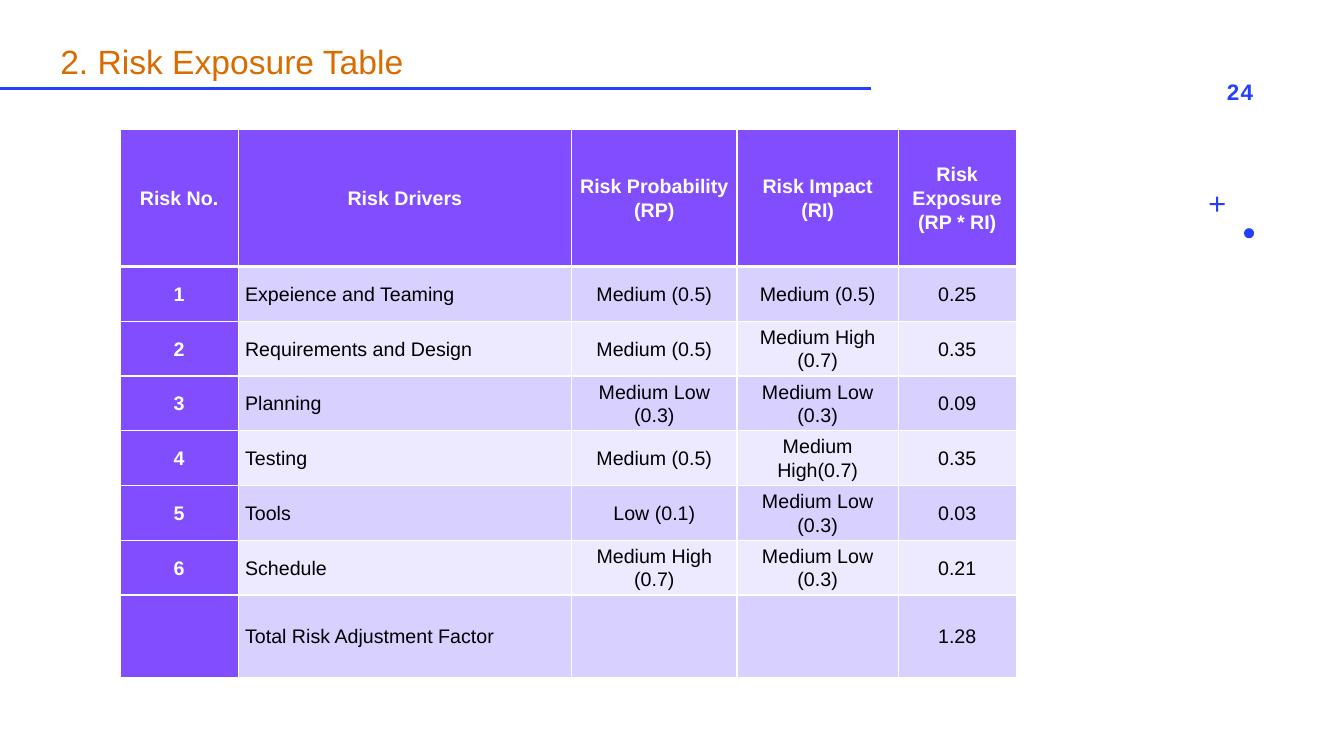
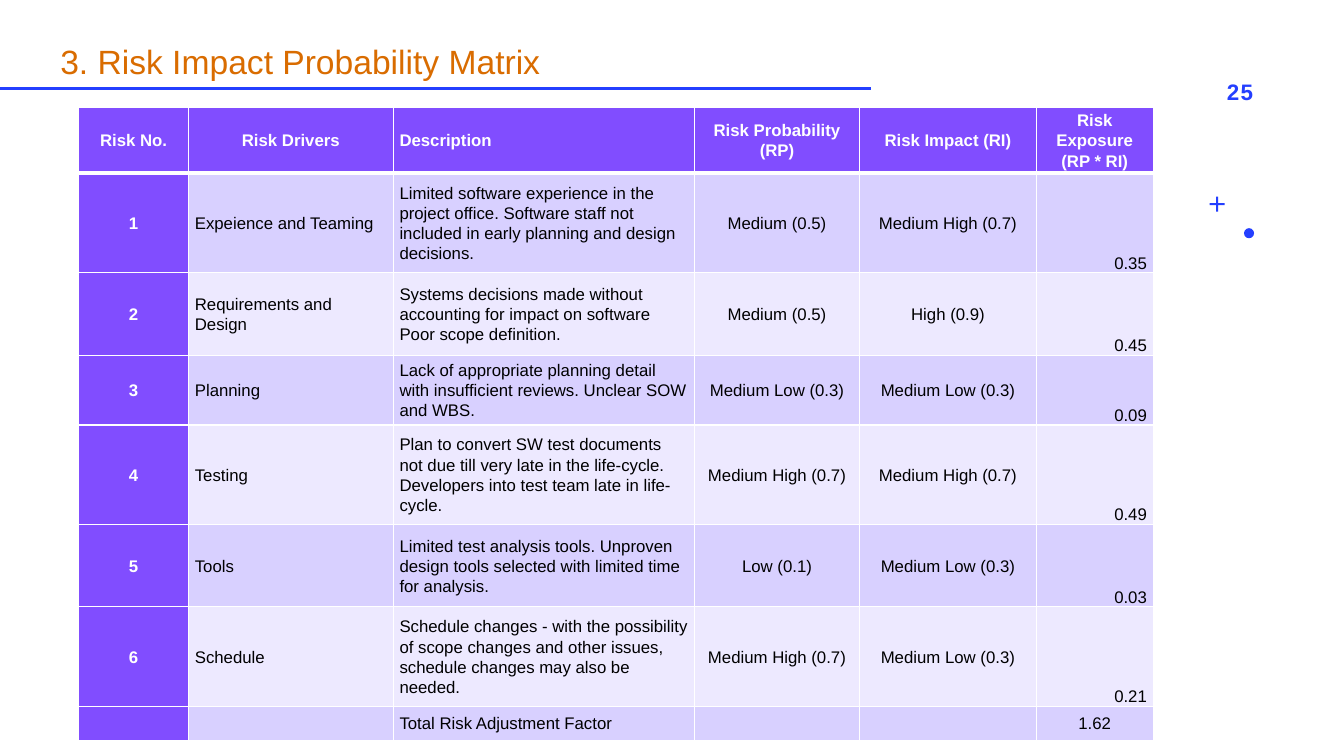
"""Build the two risk slides: an exposure table and an impact probability matrix."""
import lxml.etree
import pptx
import pptx.dml.color
import pptx.enum.shapes
import pptx.enum.text
import pptx.oxml.ns
import pptx.util

Pt = pptx.util.Pt
RGBColor = pptx.dml.color.RGBColor
qn = pptx.oxml.ns.qn
ALIGN = pptx.enum.text.PP_ALIGN
ANCHOR = pptx.enum.text.MSO_ANCHOR
SHAPE = pptx.enum.shapes.MSO_SHAPE

BLUE = RGBColor(0x24, 0x3F, 0xFF)
ORANGE = RGBColor(0xD9, 0x6C, 0x00)
PURPLE = RGBColor(0x81, 0x4D, 0xFF)
LILAC = RGBColor(0xD8, 0xD0, 0xFF)
PALE = RGBColor(0xED, 0xE9, 0xFF)
WHITE = RGBColor(0xFF, 0xFF, 0xFF)
BLACK = RGBColor(0x00, 0x00, 0x00)
FONT = "Arial"
ALIGNS = {"l": ALIGN.LEFT, "c": ALIGN.CENTER, "r": ALIGN.RIGHT}

SLIDES = [
    {
        "title": "2. Risk Exposure Table",
        "number": "24",
        "left": 85.9, "top": 92.4, "size": 14, "inset": 5,
        "cols": [84.2, 238.3, 118.1, 115.2, 84.2],
        "heights": [98] + [39.1] * 6 + [58.8],
        "aligns": "clccc",
        "rows": [
            ["Risk No.", "Risk Drivers", "Risk Probability (RP)", "Risk Impact (RI)",
             "Risk Exposure (RP * RI)"],
            ["1", "Expeience and Teaming", "Medium (0.5)", "Medium (0.5)", "0.25"],
            ["2", "Requirements and Design", "Medium (0.5)", "Medium High (0.7)", "0.35"],
            ["3", "Planning", "Medium Low (0.3)", "Medium Low (0.3)", "0.09"],
            ["4", "Testing", "Medium (0.5)", "Medium High(0.7)", "0.35"],
            ["5", "Tools", "Low (0.1)", "Medium Low (0.3)", "0.03"],
            ["6", "Schedule", "Medium High (0.7)", "Medium Low (0.3)", "0.21"],
            ["", "Total Risk Adjustment Factor", "", "", "1.28"],
        ],
    },
    {
        "title": "3. Risk Impact Probability Matrix",
        "number": "25",
        "left": 56.2, "top": 76.8, "size": 12, "inset": 4.5,
        "cols": [78.5, 146.2, 215.2, 118, 126.2, 83.5],
        "heights": [47, 71, 59, 49.8, 71, 59, 71, 24.5],
        "aligns": "cllccr",
        "rows": [
            ["Risk No.", "Risk Drivers", "Description", "Risk Probability (RP)",
             "Risk Impact (RI)", "Risk Exposure (RP * RI)"],
            ["1", "Expeience and Teaming",
             "Limited software experience in the project office. Software staff not "
             "included in early planning and design decisions.",
             "Medium (0.5)", "Medium High (0.7)", "0.35"],
            ["2", "Requirements and Design",
             "Systems decisions made without accounting for impact on software "
             "Poor scope definition.",
             "Medium (0.5)", "High (0.9)", "0.45"],
            ["3", "Planning",
             "Lack of appropriate planning detail with insufficient reviews. "
             "Unclear SOW and WBS.",
             "Medium Low (0.3)", "Medium Low (0.3)", "0.09"],
            ["4", "Testing",
             "Plan to convert SW test documents not due till very late in the life-cycle. "
             "Developers into test team late in life-cycle.",
             "Medium High (0.7)", "Medium High (0.7)", "0.49"],
            ["5", "Tools",
             "Limited test analysis tools. Unproven design tools selected with limited "
             "time for analysis.",
             "Low (0.1)", "Medium Low (0.3)", "0.03"],
            ["6", "Schedule",
             "Schedule changes - with the possibility of scope changes and other issues, "
             "schedule changes may also be needed.",
             "Medium High (0.7)", "Medium Low (0.3)", "0.21"],
            ["", "", "Total Risk Adjustment Factor", "", "", "1.62"],
        ],
    },
]


def write(tf, text, size, color, bold=False, align="l", spacing=1.0, tracking=0):
    """Fill the first paragraph of a text frame with one formatted run."""
    tf.word_wrap = True
    p = tf.paragraphs[0]
    p.alignment = ALIGNS[align]
    p.line_spacing = spacing
    r = p.add_run()
    r.text = text
    r.font.name = FONT
    r.font.size = Pt(size)
    r.font.bold = bold
    r.font.color.rgb = color
    if tracking:
        r.font._element.set("spc", str(tracking * 100))


def set_border(cell, side, width):
    """Draw one white edge of a table cell."""
    tcPr = cell._tc.get_or_add_tcPr()
    ln = lxml.etree.SubElement(tcPr, qn("a:ln" + side), w=str(Pt(width)))
    fill = lxml.etree.SubElement(ln, qn("a:solidFill"))
    lxml.etree.SubElement(fill, qn("a:srgbClr"), val=str(WHITE))


prs = pptx.Presentation()
prs.slide_width = Pt(960)
prs.slide_height = Pt(540)

for data in SLIDES:
    slide = prs.slides.add_slide(prs.slide_layouts[6])

    rule = slide.shapes.add_connector(
        pptx.enum.shapes.MSO_CONNECTOR.STRAIGHT, Pt(0), Pt(63.2), Pt(622.4), Pt(63.2))
    rule.line.color.rgb = BLUE
    rule.line.width = Pt(2)
    lxml.etree.SubElement(rule._element.spPr, qn("a:effectLst"))

    for kind, left, top, side in [(SHAPE.OVAL, 888.6, 163, 7.2), (SHAPE.CROSS, 864, 140.4, 10.8)]:
        sp = slide.shapes.add_shape(kind, Pt(left), Pt(top), Pt(side), Pt(side))
        sp.shadow.inherit = False
        sp.fill.solid()
        sp.fill.fore_color.rgb = BLUE
        sp.line.fill.background()
        if kind == SHAPE.CROSS:
            sp.adjustments[0] = 0.43

    title = slide.shapes.add_textbox(Pt(36), Pt(13), Pt(487.4), Pt(49))
    title.text_frame.vertical_anchor = ANCHOR.BOTTOM
    write(title.text_frame, data["title"], size=24, color=ORANGE, spacing=0.9)

    number = slide.shapes.add_textbox(Pt(686.2), Pt(49), Pt(216), Pt(32.4))
    number.text_frame.vertical_anchor = ANCHOR.MIDDLE
    write(number.text_frame, data["number"], size=16, color=BLUE, bold=True, align="r", tracking=1)

    rows, cols, heights = data["rows"], data["cols"], data["heights"]
    last = len(rows) - 1
    table = slide.shapes.add_table(
        len(rows), len(cols), Pt(data["left"]), Pt(data["top"]),
        Pt(sum(cols)), Pt(sum(heights))).table
    for col, width in zip(table.columns, cols):
        col.width = Pt(width)
    for row, height in zip(table.rows, heights):
        row.height = Pt(height)

    for i, texts in enumerate(rows):
        for j, text in enumerate(texts):
            cell = table.cell(i, j)
            for side in "LRTB":
                thick = (i, side) in [(0, "B"), (1, "T")]
                set_border(cell, side, 3 if thick else 1)
            strong = i == 0 or j == 0
            cell.fill.solid()
            cell.fill.fore_color.rgb = PURPLE if strong else LILAC if i % 2 else PALE
            cell.margin_left = cell.margin_right = Pt(data["inset"])
            cell.margin_top = cell.margin_bottom = Pt(0)

            align = data["aligns"][j]
            if i == 0:
                align = "l" if text == "Description" else "c"
            elif i == last and align == "r":
                align = "c"
            cell.vertical_anchor = ANCHOR.BOTTOM if align == "r" else ANCHOR.MIDDLE
            if text:
                write(cell.text_frame, text, size=data["size"], color=WHITE if strong else BLACK,
                      bold=strong, align=align, spacing=1.07)

prs.save("out.pptx")
